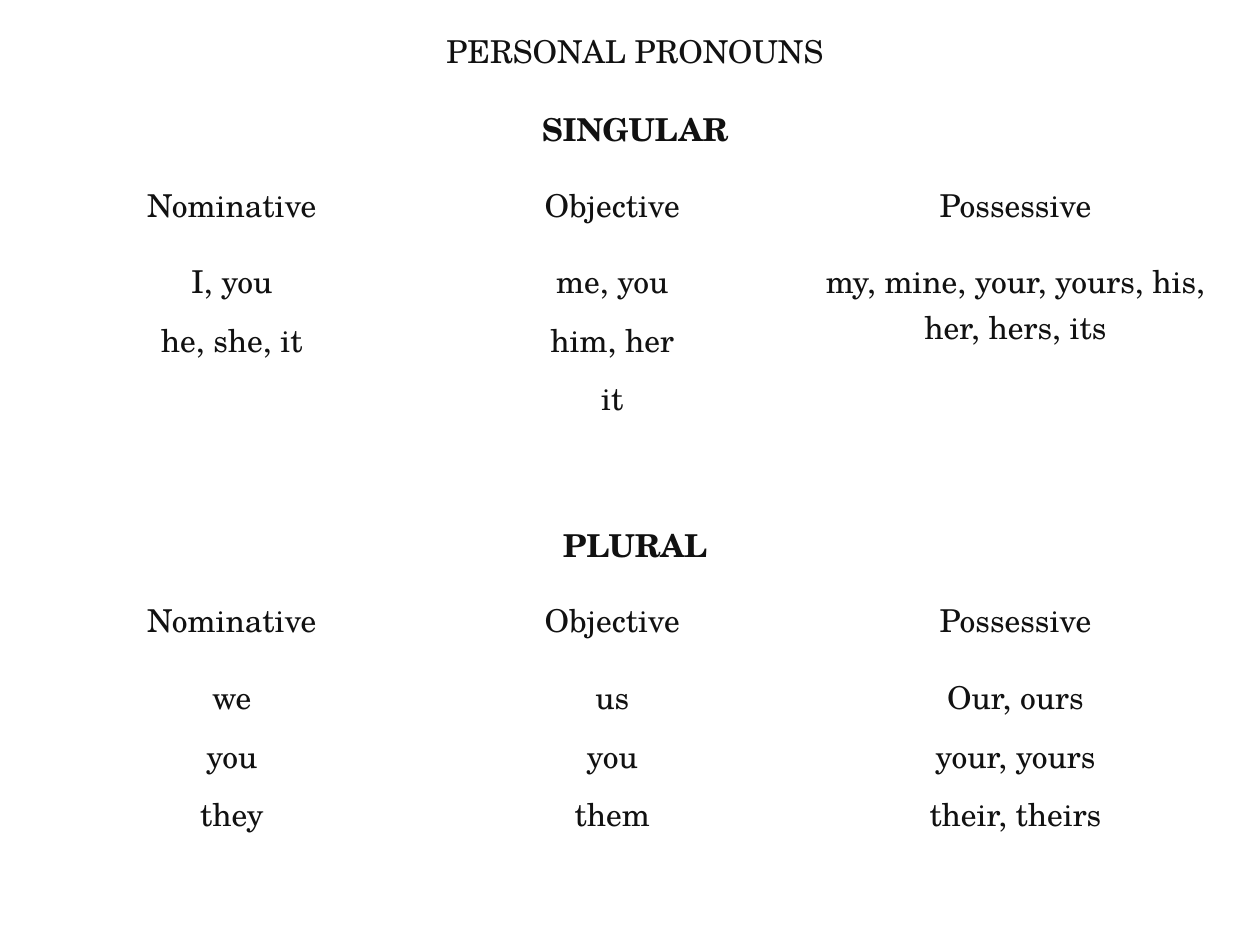
import pptx
import pptx.util
import pptx.dml.color
import pptx.enum.text
import pptx.oxml
import pptx.oxml.ns

Pt = pptx.util.Pt
FONT = "TeX Gyre Schola"
HEX = {"text": "111111", "fill": "FFFFFF", "edge": "FFFFFF"}
CASES = [["Nominative"], ["Objective"], ["Possessive"]]
ROWS = [
    [["PERSONAL PRONOUNS"]],
    [["SINGULAR"]],
    CASES,
    [["I, you", "he, she, it"], ["me, you", "him, her", "it"],
     ["my, mine, your, yours, his, her, hers, its"]],
    [["PLURAL"]],
    CASES,
    [["we", "you", "they"], ["us", "you", "them"],
     ["Our, ours", "your, yours", "their, theirs"]],
]
BOLD = (1, 4)
WIDTHS = (217.44, 217.44, 243.36)
HEAD = 43.92
HEIGHTS = (HEAD, HEAD, HEAD, 149.76, HEAD, HEAD, 129.6)


def color(name):
    return pptx.dml.color.RGBColor.from_string(HEX[name])


def style(cell):
    props = cell._tc.get_or_add_tcPr()
    for side in "LRTB":
        props.append(pptx.oxml.parse_xml(
            f'<a:ln{side} {pptx.oxml.ns.nsdecls("a")} w="{Pt(0.06)}">'
            f'<a:solidFill><a:srgbClr val="{HEX["edge"]}"/></a:solidFill>'
            f'</a:ln{side}>'))
    cell.fill.solid()
    cell.fill.fore_color.rgb = color("fill")
    cell.margin_left = cell.margin_right = Pt(7.2)
    cell.margin_top = cell.margin_bottom = Pt(3.6)


def write(cell, lines, bold):
    frame = cell.text_frame
    for i, line in enumerate(lines):
        para = frame.add_paragraph() if i else frame.paragraphs[0]
        para.alignment = pptx.enum.text.PP_ALIGN.CENTER
        para.line_spacing = 0.98
        para.space_before = Pt(7.5)
        run = para.add_run()
        run.text = line
        run.font.name = FONT
        run.font.size = Pt(18)
        run.font.bold = bold
        run.font.color.rgb = color("text")


def chart(slide, left, top, width, height):
    shape = slide.shapes.add_table(
        len(ROWS), len(WIDTHS), Pt(left), Pt(top), Pt(width), Pt(height))
    table = shape.table
    table.first_row = table.horz_banding = False
    for col, size in zip(table.columns, WIDTHS):
        col.width = Pt(size * width / sum(WIDTHS))
    for row, size in zip(table.rows, HEIGHTS):
        row.height = Pt(size * height / sum(HEIGHTS))
    for cell in table.iter_cells():
        style(cell)
    for r, row in enumerate(ROWS):
        if len(row) == 1:
            table.cell(r, 0).merge(table.cell(r, len(WIDTHS) - 1))
        for c, lines in enumerate(row):
            write(table.cell(r, c), lines, r in BOLD)


def main():
    deck = pptx.Presentation()
    deck.slide_width, deck.slide_height = Pt(720), Pt(540)
    slide = deck.slides.add_slide(deck.slide_layouts[6])
    chart(slide, 23.76, 12.24, sum(WIDTHS), sum(HEIGHTS))
    deck.save("out.pptx")


if __name__ == "__main__":
    main()
